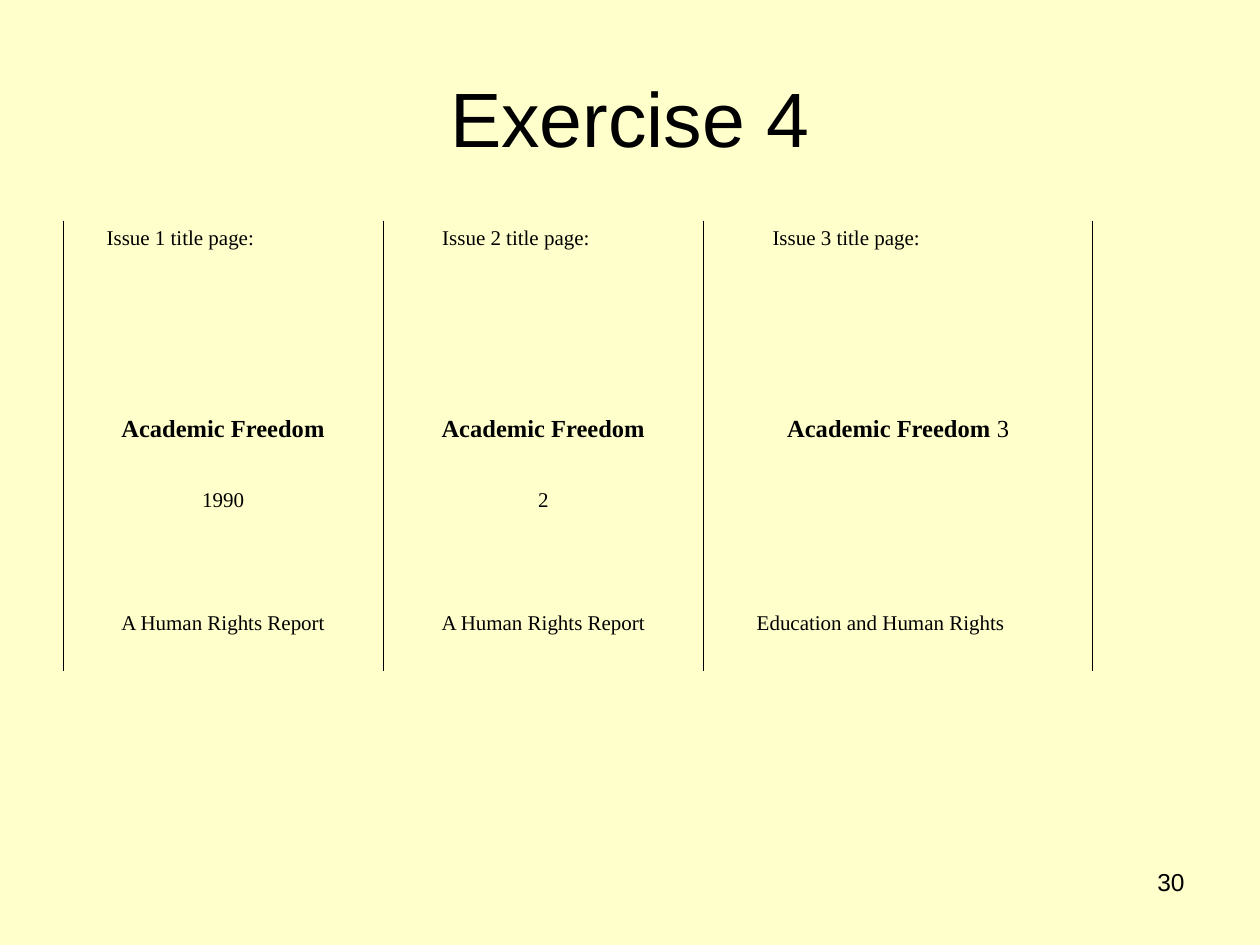
from lxml import etree
from pptx import Presentation
from pptx.dml.color import RGBColor
from pptx.enum import text
from pptx.oxml import ns
from pptx.util import Pt

COLORS = {"background": "FFFFCC", "ink": "000000"}
LEFT, CENTER, RIGHT = text.PP_ALIGN.LEFT, text.PP_ALIGN.CENTER, text.PP_ALIGN.RIGHT
NO_STYLE = "{2D5ABB26-0587-4C30-8999-92F81FD0307C}"


def format_runs(paragraph, font_name, size, align):
    paragraph.alignment = align
    for run in paragraph.runs:
        run.font.name = font_name
        run.font.size = Pt(size)
        run.font.color.rgb = RGBColor.from_string(COLORS["ink"])


def add_side_border(cell, side, position):
    line = etree.Element(ns.qn(f"a:{side}"), w=str(Pt(0.45)))
    fill = etree.SubElement(line, ns.qn("a:solidFill"))
    etree.SubElement(fill, ns.qn("a:srgbClr"), val=COLORS["ink"])
    cell._tc.get_or_add_tcPr().insert(position, line)


prs = Presentation()
prs.slide_width, prs.slide_height = Pt(720), Pt(540)
slide = prs.slides.add_slide(prs.slide_layouts[6])
slide.background.fill.solid()
slide.background.fill.fore_color.rgb = RGBColor.from_string(COLORS["background"])

# Heading and page number
for words, box, size, align, anchor in [
    ("Exercise 4", (36, 21.6, 648, 90), 44, CENTER, text.MSO_ANCHOR.MIDDLE),
    ("30", (516.24, 491.76, 167.76, 37.44), 14, RIGHT, text.MSO_ANCHOR.TOP),
]:
    frame = slide.shapes.add_textbox(*map(Pt, box)).text_frame
    frame.word_wrap = True
    frame.vertical_anchor = anchor
    frame.text = words
    format_runs(frame.paragraphs[0], "Arial", size, align)

# Title pages of the three issues, one column each
column_widths = [183, 183, 222.5]
row_heights = [37.5, 70.5, 41.75, 70.5, 37.5]
title_pages = [
    ["Issue 1 title page:", "Issue 2 title page:", "Issue 3 title page:"],
    ["", "", ""],
    ["Academic Freedom", "Academic Freedom", "Academic Freedom"],
    ["1990", "2", ""],
    ["A Human Rights Report", "A Human Rights Report", "Education and Human Rights"],
]
TITLE_ROW = 2
left_margins = {(0, 0): 25, (0, 1): 33.75, (0, 2): 39.5, (4, 2): 30.5}

issues = slide.shapes.add_table(
    5, 3, Pt(36), Pt(126), Pt(sum(column_widths)), Pt(sum(row_heights))
).table
issues.first_row = issues.horz_banding = False
issues._tbl.tblPr.find(ns.qn("a:tableStyleId")).text = NO_STYLE
for column, width in zip(issues.columns, column_widths):
    column.width = Pt(width)

for r, (height, entries) in enumerate(zip(row_heights, title_pages)):
    issues.rows[r].height = Pt(height)
    for c, entry in enumerate(entries):
        cell = issues.cell(r, c)
        cell.fill.background()
        add_side_border(cell, "lnL", 0)
        add_side_border(cell, "lnR", 1)
        cell.margin_left = Pt(left_margins.get((r, c), 7.2))
        cell.text_frame.text = entry
        paragraph = cell.text_frame.paragraphs[0]
        if r == TITLE_ROW:
            paragraph.runs[0].font.bold = True
            if c == 2:
                paragraph.add_run().text = " 3"
        format_runs(paragraph, "Times New Roman", 14 if r == TITLE_ROW else 12,
                    LEFT if (r, c) in left_margins else CENTER)

prs.save("out.pptx")
